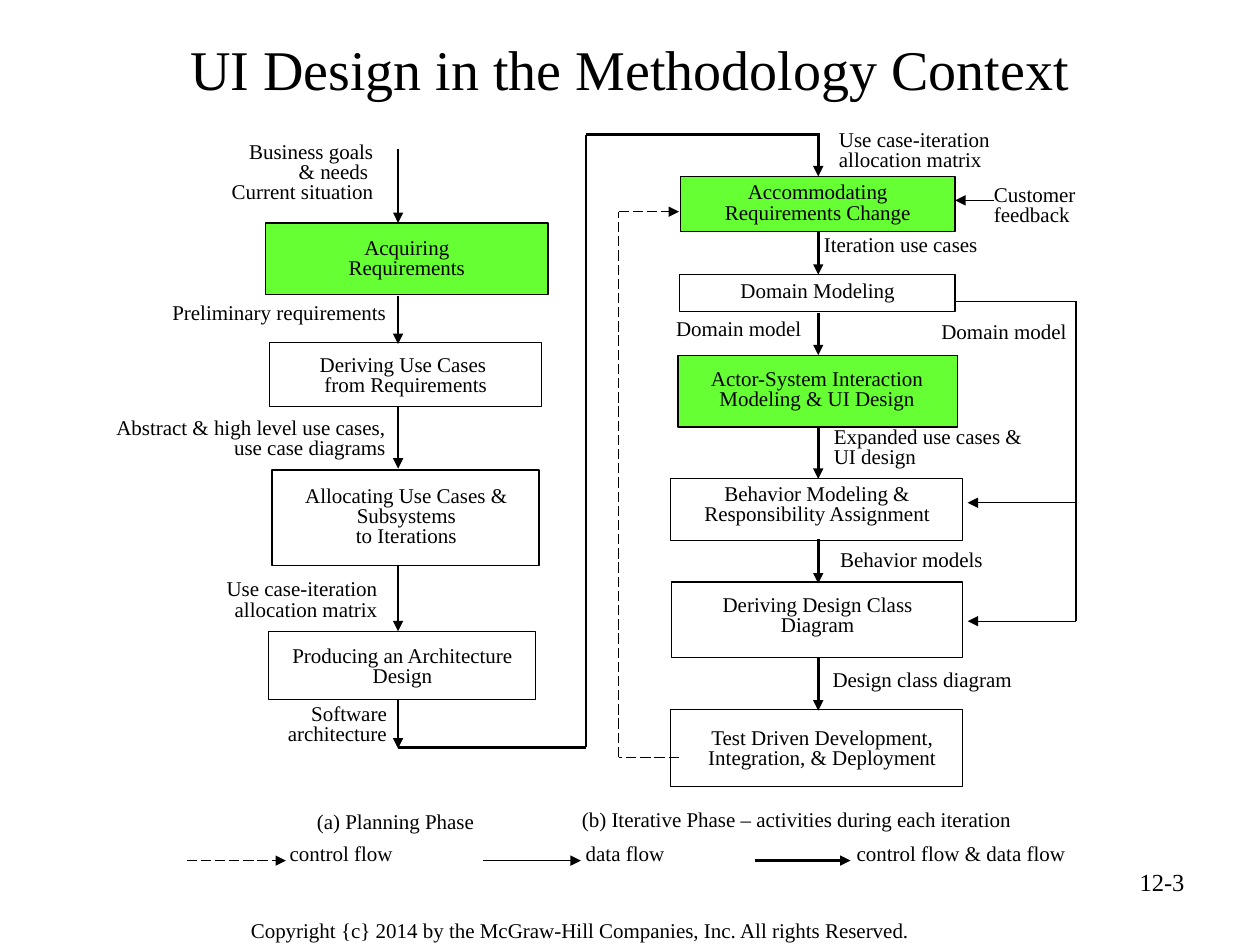
from dataclasses import dataclass
from itertools import pairwise

import pptx
import pptx.dml.color
import pptx.enum.dml
import pptx.enum.shapes
import pptx.enum.text
import pptx.oxml.ns
import pptx.util
from lxml import etree

Pt = pptx.util.Pt
RGB = pptx.dml.color.RGBColor
ALIGN = pptx.enum.text.PP_ALIGN
LEFT, CENTER, RIGHT = ALIGN.LEFT, ALIGN.CENTER, ALIGN.RIGHT


@dataclass(frozen=True)
class Theme:
    font: str = "Times New Roman"
    ink: RGB = RGB(0, 0, 0)
    paper: RGB = RGB(255, 255, 255)
    highlight: RGB = RGB(0x66, 0xFF, 0x33)
    title: float = 32
    number: float = 14
    body: float = 12
    thin: float = 0.75
    thick: float = 1.5
    tight: float = 0.8


def set_all(target, values):
    for name, value in values.items():
        setattr(target, name, value)


def place(rect):
    return [Pt(v) for v in rect]


class Diagram:
    """Draws the elements of one slide in one theme; lengths are points."""

    def __init__(self, slide, theme):
        self.s = slide
        self.theme = theme

    def fill_text(self, tf, text, size, align, spacing):
        for i, line in enumerate(text.split("\n")):
            p = tf.add_paragraph() if i else tf.paragraphs[0]
            set_all(p, {"alignment": align, "line_spacing": spacing})
            r = p.add_run()
            r.text = line
            set_all(r.font, {"name": self.theme.font, "size": Pt(size)})
            r.font.color.rgb = self.theme.ink

    def title(self, rect, text):
        sp = self.s.shapes.title
        set_all(sp, dict(zip(("left", "top", "width", "height"), place(rect))))
        sp.text_frame.vertical_anchor = pptx.enum.text.MSO_ANCHOR.MIDDLE
        self.fill_text(sp.text_frame, text, self.theme.title, CENTER, 1.0)

    def label(self, rect, text, align=LEFT, size=None, spacing=None, inset=(7.2, 3.6)):
        tf = self.s.shapes.add_textbox(*place(rect)).text_frame
        x, y = place(inset)
        set_all(tf, {"word_wrap": True, "margin_left": x, "margin_right": x,
                     "margin_top": y, "margin_bottom": y})
        self.fill_text(tf, text, size or self.theme.body, align,
                       spacing or self.theme.tight)

    def activity(self, rect, text_rect, text, fill):
        """A framed box whose caption sits in its own text area."""
        sp = self.s.shapes.add_shape(pptx.enum.shapes.MSO_SHAPE.RECTANGLE, *place(rect))
        sp.shadow.inherit = False
        if fill is None:
            sp.fill.background()
        else:
            sp.fill.solid()
            sp.fill.fore_color.rgb = fill
        sp.line.color.rgb = self.theme.ink
        sp.line.width = Pt(self.theme.thin)
        self.label(text_rect, text, CENTER)

    def flow(self, points, width, dashed=False, arrow=True):
        """Straight lines through the points, with an arrowhead at the last one."""
        for start, end in pairwise(points):
            sp = self.s.shapes.add_connector(
                pptx.enum.shapes.MSO_CONNECTOR.STRAIGHT, *place(start + end))
            sp.line.color.rgb = self.theme.ink
            sp.line.width = Pt(width)
            if dashed:
                sp.line.dash_style = pptx.enum.dml.MSO_LINE.LONG_DASH
            sp_pr = sp._element.spPr
            if arrow and end == points[-1]:
                etree.SubElement(sp_pr.find(pptx.oxml.ns.qn("a:ln")),
                                 pptx.oxml.ns.qn("a:tailEnd"), type="triangle")
            etree.SubElement(sp_pr, pptx.oxml.ns.qn("a:effectLst"))


def main():
    prs = pptx.Presentation()
    prs.slide_width, prs.slide_height = Pt(720), Pt(540)
    theme = Theme()
    d = Diagram(prs.slides.add_slide(prs.slide_layouts[5]), theme)
    thin, thick = theme.thin, theme.thick

    d.title((36, 12.2, 648, 54), "UI Design in the Methodology Context")
    d.label((135.4, 519.8, 445.7, 22.3),
            "Copyright {c} 2014 by the McGraw-Hill Companies, Inc. All rights Reserved.",
            spacing=1.0, inset=(7.9, 4.3))
    d.label((516.2, 491.8, 167.8, 37.4), "12-3", RIGHT, theme.number, 1.0)

    activities = [
        # planning phase
        ((151.9, 127.4, 161.3, 41), (156.2, 133.2, 152.6, 34.6),
         "Acquiring\nRequirements", theme.highlight),
        ((154.1, 195.8, 155.5, 36.7), (162.7, 200.2, 138.2, 35.3),
         "Deriving Use Cases \nfrom Requirements", None),
        ((155.5, 268.6, 152.6, 54.7), (158.4, 275, 147.6, 51.1),
         "Allocating Use Cases & Subsystems\nto Iterations", theme.paper),
        ((153.4, 360.7, 152.6, 38.9), (156.2, 366.5, 147.6, 38.2),
         "Producing an Architecture Design", theme.paper),
        # iterative phase
        ((388.8, 100.8, 157, 31.7), (388.8, 101.5, 157, 37.4),
         "Accommodating\nRequirements Change", theme.highlight),
        ((388.1, 157, 157.7, 20.9), (402.5, 157.7, 129.6, 25.9),
         "Domain Modeling", None),
        ((387.4, 203, 159.8, 41), (378.7, 208.1, 176.4, 46.1),
         "Actor-System Interaction Modeling & UI Design", theme.highlight),
        ((383, 273.6, 167, 35.3), (380.2, 273.6, 173.5, 34.6),
         "Behavior Modeling &\nResponsibility Assignment", theme.paper),
        ((383.8, 332.6, 166.3, 43.2), (385.9, 337, 162.7, 33.8),
         "Deriving Design Class\nDiagram", theme.paper),
        ((383, 405.4, 167, 43.9), (380.2, 413.3, 179.3, 43.9),
         "Test Driven Development, Integration, & Deployment", theme.paper),
    ]
    for activity in activities:
        d.activity(*activity)

    labels = [
        ((99.4, 78.5, 121, 54.7), "Business goals\n& needs \nCurrent situation", RIGHT),
        ((91.4, 170.6, 139.7, 23), "Preliminary requirements", LEFT),
        ((51.8, 236.2, 175.7, 38.2),
         "Abstract & high level use cases, use case diagrams", RIGHT),
        ((82.8, 328.3, 140, 39.6), "Use case-iteration allocation matrix", RIGHT),
        ((131, 399.6, 97.2, 38.2), "Software architecture", RIGHT),
        ((472.3, 71.3, 144.7, 39.6), "Use case-iteration allocation matrix", LEFT),
        ((560.9, 103, 85, 43.9), "Customer\nfeedback", LEFT),
        ((463.7, 131.8, 145.4, 25.2), "Iteration use cases", LEFT),
        ((357.1, 179.3, 108, 20.2), "Domain model", RIGHT),
        ((519.8, 181.4, 108, 20.2), "Domain model", CENTER),
        ((469.4, 241.2, 136.1, 38.9), "Expanded use cases & UI design", LEFT),
        ((473, 311.8, 100.8, 22.3), "Behavior models", LEFT),
        ((468.7, 380.2, 185, 25.2), "Design class diagram", LEFT),
        ((144.7, 461.5, 162.7, 25.2), "(a) Planning Phase", CENTER),
        ((325.4, 460.1, 334.8, 25.2),
         "(b) Iterative Phase – activities during each iteration", LEFT),
    ]
    for label in labels:
        d.label(*label)

    columns = {
        227.5: [(85, 127.4), (169.2, 196.6), (231.8, 267.8), (323.3, 360.7),
                (400.3, 427.7)],
        467.6: [(76.3, 100.8), (132.5, 157), (178.6, 203), (244.1, 273.6),
                (308.2, 333.4), (375.8, 406.1)],
    }
    for x, spans in columns.items():
        for top, bottom in spans:
            d.flow([(x, top), (x, bottom)], thick)

    d.flow([(227.5, 427), (334.8, 427), (334.8, 77), (467.6, 77)], thick, arrow=False)
    d.flow([(388, 432.7), (353.5, 432.7), (353.5, 121), (388, 121)], thin, dashed=True)
    d.flow([(545.8, 172.1), (614.9, 172.1), (614.9, 355), (553, 355)], thin)
    d.flow([(614.9, 287.3), (553, 287.3)], thin)
    d.flow([(568.1, 114.5), (545.8, 114.5)], thin)

    legend = [
        (106.6, 163.4, thin, True, 158.4, 114.5, "control flow"),
        (275.8, 331.9, thin, False, 327.6, 104.4, "data flow"),
        (431.3, 486, thick, False, 482.4, 183.6, "control flow & data flow"),
    ]
    for start, end, width, dashed, left, label_width, text in legend:
        d.flow([(start, 491.8), (end, 491.8)], width, dashed)
        d.label((left, 479.5, label_width, 25.2), text)

    prs.save("out.pptx")


if __name__ == "__main__":
    main()
